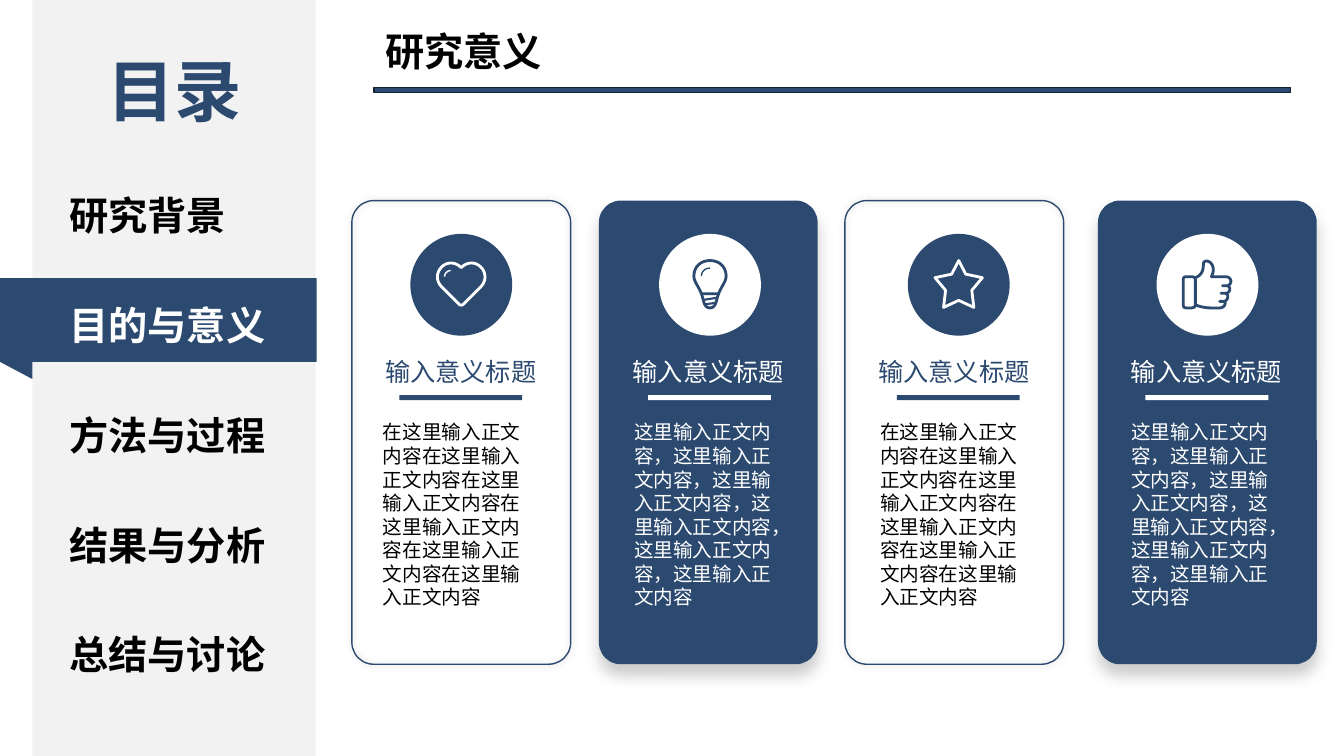
from lxml import etree
from pptx import Presentation
from pptx.dml.color import RGBColor
from pptx.enum.shapes import MSO_SHAPE
from pptx.enum.text import MSO_ANCHOR, MSO_AUTO_SIZE, PP_ALIGN
from pptx.oxml import parse_xml
from pptx.oxml.ns import nsdecls, qn
from pptx.util import Inches, Pt

RECT, OVAL = MSO_SHAPE.RECTANGLE, MSO_SHAPE.OVAL
ROUNDED, TRIANGLE = MSO_SHAPE.ROUNDED_RECTANGLE, MSO_SHAPE.RIGHT_TRIANGLE
LEFT, CENTER, TOP = PP_ALIGN.LEFT, PP_ALIGN.CENTER, MSO_ANCHOR.TOP
NO_AUTOFIT = MSO_AUTO_SIZE.NONE
NAVY = RGBColor(0x2C, 0x4A, 0x70)
DARK_NAVY = RGBColor(0x13, 0x20, 0x31)
PALE_GREY = RGBColor(0xF2, 0xF2, 0xF2)
WHITE = RGBColor(0xFF, 0xFF, 0xFF)
BLACK = RGBColor(0, 0, 0)
FONT = "Noto Sans CJK SC"

prs = Presentation()
prs.slide_width, prs.slide_height = Inches(13.33), Inches(7.5)
slide = prs.slides.add_slide(prs.slide_layouts[5])
shapes = slide.shapes


def write(text, x, y, w, h, size=28, color=BLACK, bold=False, align=LEFT,
          leading=1.3, inset=0.05, holder=None):
    box = holder or shapes.add_textbox(0, 0, 0, 0)
    box.left, box.top, box.width, box.height = map(Inches, (x, y, w, h))
    frame = box.text_frame
    frame.word_wrap = True
    frame.auto_size = NO_AUTOFIT
    frame.vertical_anchor = TOP
    frame.margin_top = Inches(inset)
    paragraph = frame.paragraphs[0]
    paragraph.alignment = align
    paragraph.line_spacing = Pt(size * leading)
    run = paragraph.add_run()
    run.text = text
    run.font.name = FONT
    run.font.size = Pt(size)
    run.font.bold = bold
    run.font.color.rgb = color
    east_asian = etree.SubElement(run.font._element, qn("a:ea"))
    east_asian.set("typeface", FONT)


def block(kind, x, y, w, h, fill=None, line=None):
    shape = shapes.add_shape(kind, *map(Inches, (x, y, w, h)))
    shape.shadow.inherit = False
    if fill is None:
        shape.fill.background()
    else:
        shape.fill.solid()
        shape.fill.fore_color.rgb = fill
    if line is None:
        shape.line.fill.background()
    else:
        shape.line.color.rgb = line
        shape.line.width = Pt(1)
    return shape


block(RECT, 0.32, 0, 2.81, 7.5, fill=PALE_GREY)
block(RECT, 0, 2.76, 3.14, 0.83, fill=NAVY)
ribbon_fold = block(TRIANGLE, 0, 3.59, 0.32, 0.17, fill=NAVY)
ribbon_fold.rotation = 180
write("目录", 0.76, 0.37, 1.94, 0.91, size=48, color=NAVY, bold=True, align=CENTER)

current_section = "目的与意义"
sections = ["研究背景", current_section, "方法与过程", "结果与分析", "总结与讨论"]
for row, section in enumerate(sections):
    color = WHITE if section == current_section else BLACK
    write(section, 0.59, 1.81 + 1.09 * row, 2.21, 0.57, color=color, bold=True)

write("研究意义", 3.72, 0.18, 4.93, 0.57, bold=True, holder=shapes.title)
block(RECT, 3.71, 0.87, 9.09, 0.05, fill=NAVY, line=DARK_NAVY)

heart = [
    (2, [(0, -17), (6, -23, 14, -23, 19.5, -17.5), (25, -12, 25, -3.5, 19.5, 2),
         (2, 19.5), (1, 20.5, -1, 20.5, -2, 19.5), (-19.5, 2),
         (-25, -3.5, -25, -12, -19.5, -17.5), (-14, -23, -6, -23, 0, -17)]),
    (1, [(-10.5, -14), (-14, -14, -16.5, -11, -16.5, -8)]),
]
bulb = [
    (2, [(-8.5, 9), (-11, 2, -16, -3, -16, -8.5), (-16, -18, -9, -24, 0, -24),
         (9, -24, 16, -18, 16, -8.5), (16, -3, 11, 2, 8.5, 9), (-8.5, 9)]),
    (2, [(-8.5, 9), (-6, 15, -6.5, 23, 0, 23), (6.5, 23, 6, 15, 8.5, 9)]),
    (1.5, [(-6.5, 15), (6, 13)]),
    (1.5, [(-5, 19.5), (5, 18)]),
    (1, [(-8.5, -8.5), (-8.5, -13, -5, -16.5, 0, -16.5)]),
]
star = [
    (2, [(0, -24), (7, -10.5), (23.5, -7), (13, 5.5), (15, 22.5), (0, 15.5),
         (-15, 22.5), (-13, 5.5), (-23.5, -7), (-7, -10.5), (0, -24)]),
]
thumb = [
    (2, [(-21, -8), (-16, -8), (-14, -8, -12, -7, -12, -5), (-12, 20),
         (-12, 22, -14, 23, -16, 23), (-21, 23), (-23, 23, -24, 22, -24, 20),
         (-24, -5), (-24, -7, -23, -8, -21, -8)]),
    (2, [(-12, -7), (-4, -10, -4, -17, -4, -21.5), (-3, -25, 3, -24, 5, -19),
         (7, -14, 5, -11, 4, -8), (19, -8), (24, -7, 25, -1, 20, 1), (15, 1),
         (20, 1), (24, 3, 22, 8.5, 18, 8.5), (13.5, 8.5), (18, 8.5),
         (22, 10, 20, 16, 16.5, 16.5), (12, 16.5), (16.5, 16.5),
         (19, 18, 17, 23, 12, 23), (4, 23), (-4, 23, -9, 21, -12, 20)]),
]

light_body = "在这里输入正文内容" + "在这里输入正文内容" * 5
dark_body = "，".join(["这里输入正文内容"] * 6)
cards = [
    (3.49, 3.69, 1.76, 3.7, heart, False),
    (5.94, 6.13, 1.79, 6.19, bulb, True),
    (8.38, 8.54, 1.84, 8.63, star, False),
    (10.89, 11.09, 1.75, 11.12, thumb, True),
]
for column, (card_x, heading_x, heading_w, body_x, icon, dark) in enumerate(cards):
    accent, ink = (WHITE, NAVY) if dark else (NAVY, WHITE)
    card = block(ROUNDED, card_x, 1.99, 2.17, 4.6,
                 fill=NAVY if dark else None, line=None if dark else NAVY)
    card.adjustments[0] = 0.1
    blur, distance = (11, 8) if dark else (5, 0)
    effects = card._element.spPr.find(qn("a:effectLst"))
    effects.append(parse_xml(
        f'<a:outerShdw {nsdecls("a")} blurRad="{Pt(blur)}" dist="{Pt(distance)}" '
        'dir="5400000" algn="ctr" rotWithShape="0"><a:srgbClr val="808080">'
        '<a:alpha val="40000"/></a:srgbClr></a:outerShdw>'))

    rule_x = 3.96 + 2.467 * column
    block(OVAL, rule_x + 0.11, 2.32, 1.01, 1.01, fill=accent)
    center_x, center_y = rule_x + 0.615, 2.825
    for weight, (start, *segments) in icon:
        points = [start]
        for segment in segments:
            if len(segment) == 2:
                points.append(segment)
                continue
            x0, y0 = points[-1]
            x1, y1, x2, y2, x3, y3 = segment
            for step in range(1, 9):
                t = step / 8
                u = 1 - t
                a, b, c, d = u ** 3, 3 * u * u * t, 3 * u * t * t, t ** 3
                points.append((a * x0 + b * x1 + c * x2 + d * x3,
                               a * y0 + b * y1 + c * y2 + d * y3))
        placed = [(Inches(center_x + x / 100), Inches(center_y + y / 100))
                  for x, y in points]
        outline = shapes.build_freeform(*placed[0])
        outline.add_line_segments(placed[1:], close=points[-1] == points[0])
        stroke = outline.convert_to_shape()
        stroke.shadow.inherit = False
        stroke.fill.background()
        stroke.line.color.rgb = ink
        stroke.line.width = Pt(weight)
        etree.SubElement(stroke.line._ln, qn("a:round"))

    write("输入意义标题", heading_x, 3.46, heading_w, 0.4, size=18, color=accent,
          align=CENTER)
    block(RECT, rule_x, 3.92, 1.22, 0.05, fill=accent)
    write(dark_body if dark else light_body, body_x, 4.1, 1.7 if dark else 1.75, 2.39,
          size=14, color=WHITE if dark else BLACK, leading=1.2, inset=0.07)

prs.save("out.pptx")
